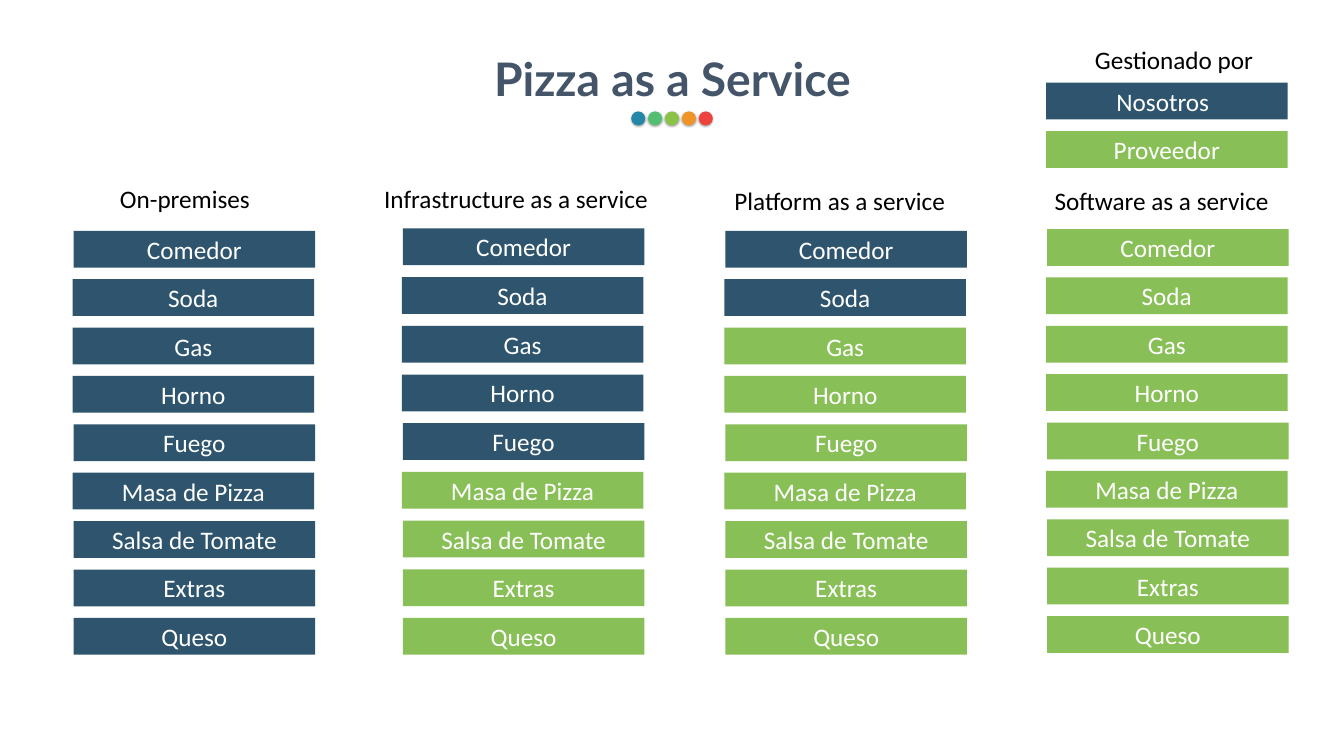
from dataclasses import dataclass

from lxml.etree import SubElement
from pptx import Presentation
from pptx.dml.color import RGBColor
from pptx.enum.shapes import MSO_SHAPE
from pptx.enum.text import MSO_ANCHOR, MSO_AUTO_SIZE, PP_ALIGN
from pptx.oxml.ns import qn
from pptx.util import Pt


@dataclass(frozen=True)
class Theme:
    ours: str = "2E556D"
    provider: str = "88C057"
    light: str = "FFFFFF"
    dark: str = "000000"
    title: str = "445469"
    dots: tuple = ("2686A7", "54BE71", "8BC248", "EF9527", "ED423D")
    body_font: str = "Calibri"
    title_font: str = "Lato"
    body_size: int = 36
    title_size: int = 66


BAR_WIDTH, BAR_HEIGHT, BAR_STEP = 344.88, 52.56, 69.12
HEADING_HEIGHT = 51.12
NUDGE = 1.44  # some rows sit slightly further left
DOT_SIZE, DOT_STEP = 20.16, 24.12

LAYERS = ["Comedor", "Soda\t", "Gas", "Horno", "Fuego",
          "Masa de Pizza", "Salsa de Tomate", "Extras", "Queso"]
NUDGED = {"Soda\t", "Gas", "Horno", "Masa de Pizza"}

# heading, heading left, top and width, bars left, top and step, layers run by us
MODELS = [
    ("On-premises", 164.16, 257.76, 202.32, 105.12, 329.76, BAR_STEP, 9),
    ("Infrastructure as a service", 541.44, 257.76, 394.56, 575.28, 326.4, 69.55, 5),
    ("Platform as a service", 1041.84, 260.64, 318.96, 1036.08, 329.76, BAR_STEP, 2),
    ("Software as a service", 1499.04, 260.64, 324, 1495.44, 327.2, BAR_STEP, 0),
]


class SlideBuilder:
    def __init__(self, page, theme):
        self.page = page
        self.theme = theme

    def add_text(self, frame, text, color, align, **font_format):
        para = frame.paragraphs[0]
        para.alignment = align
        span = para.add_run()
        span.text = text
        values = {"name": self.theme.body_font, "size": Pt(self.theme.body_size)}
        values.update(font_format)
        for name, value in values.items():
            setattr(span.font, name, value)
        span.font.color.rgb = RGBColor.from_string(color)

    def solid(self, kind, left, top, width, height, color):
        shape = self.page.shapes.add_shape(kind, Pt(left), Pt(top), Pt(width), Pt(height))
        shape.shadow.inherit = False
        shape.fill.solid()
        shape.fill.fore_color.rgb = RGBColor.from_string(color)
        shape.line.fill.background()
        return shape

    def bar(self, text, left, top, color):
        shape = self.solid(MSO_SHAPE.RECTANGLE, left, top, BAR_WIDTH, BAR_HEIGHT, color)
        shape.text_frame.vertical_anchor = MSO_ANCHOR.MIDDLE
        self.add_text(shape.text_frame, text, self.theme.light, PP_ALIGN.CENTER)

    def dot(self, left, top, color):
        shape = self.solid(MSO_SHAPE.OVAL, left, top, DOT_SIZE, DOT_SIZE, color)
        effects = shape._element.spPr.find(qn("a:effectLst"))
        shadow = SubElement(effects, qn("a:outerShdw"), blurRad=str(Pt(3.1)),
                            dist=str(Pt(1.8)), dir="5400000", rotWithShape="0")
        black = SubElement(shadow, qn("a:srgbClr"), val=self.theme.dark)
        SubElement(black, qn("a:alpha"), val="35000")

    def text_box(self, left, top, width, height, **frame_format):
        box = self.page.shapes.add_textbox(Pt(left), Pt(top), Pt(width), Pt(height))
        values = {"word_wrap": False, "auto_size": MSO_AUTO_SIZE.SHAPE_TO_FIT_TEXT}
        values.update(frame_format)
        for name, value in values.items():
            setattr(box.text_frame, name, value)
        return box.text_frame

    def heading(self, text, left, top, width):
        frame = self.text_box(left, top, width, HEADING_HEIGHT)
        self.add_text(frame, text, self.theme.dark, PP_ALIGN.LEFT)

    def title(self, text, left, top, width, height):
        frame = self.text_box(left, top, width, height, margin_left=0, margin_top=0,
                              margin_right=0, margin_bottom=0)
        self.add_text(frame, text, self.theme.title, PP_ALIGN.CENTER, bold=True,
                      name=self.theme.title_font, size=Pt(self.theme.title_size))


def main():
    deck = Presentation()
    deck.slide_width, deck.slide_height = Pt(1919.52), Pt(1080)
    theme = Theme()
    slide = SlideBuilder(deck.slides.add_slide(deck.slide_layouts[6]), theme)

    # Service models, one column each
    for name, label_left, label_top, width, left, top, step, own_count in MODELS:
        for row, layer in enumerate(LAYERS):
            slide.bar(layer, left - NUDGE * (layer in NUDGED), top + row * step,
                      theme.ours if row < own_count else theme.provider)
        slide.heading(name, label_left, label_top, width)

    # Legend
    slide.heading("Gestionado por", 1556.64, 59.76, 242.64)
    slide.bar("Nosotros\t", 1494, 118.08, theme.ours)
    slide.bar("Proveedor", 1494, 118.08 + BAR_STEP, theme.provider)

    # Title and coloured dots
    for index, color in enumerate(theme.dots):
        slide.dot(901.44 + index * DOT_STEP, 159.12, color)
    slide.title("Pizza as a Service", 689.76, 72, 541.44, 79.92)

    deck.save("out.pptx")


if __name__ == "__main__":
    main()
